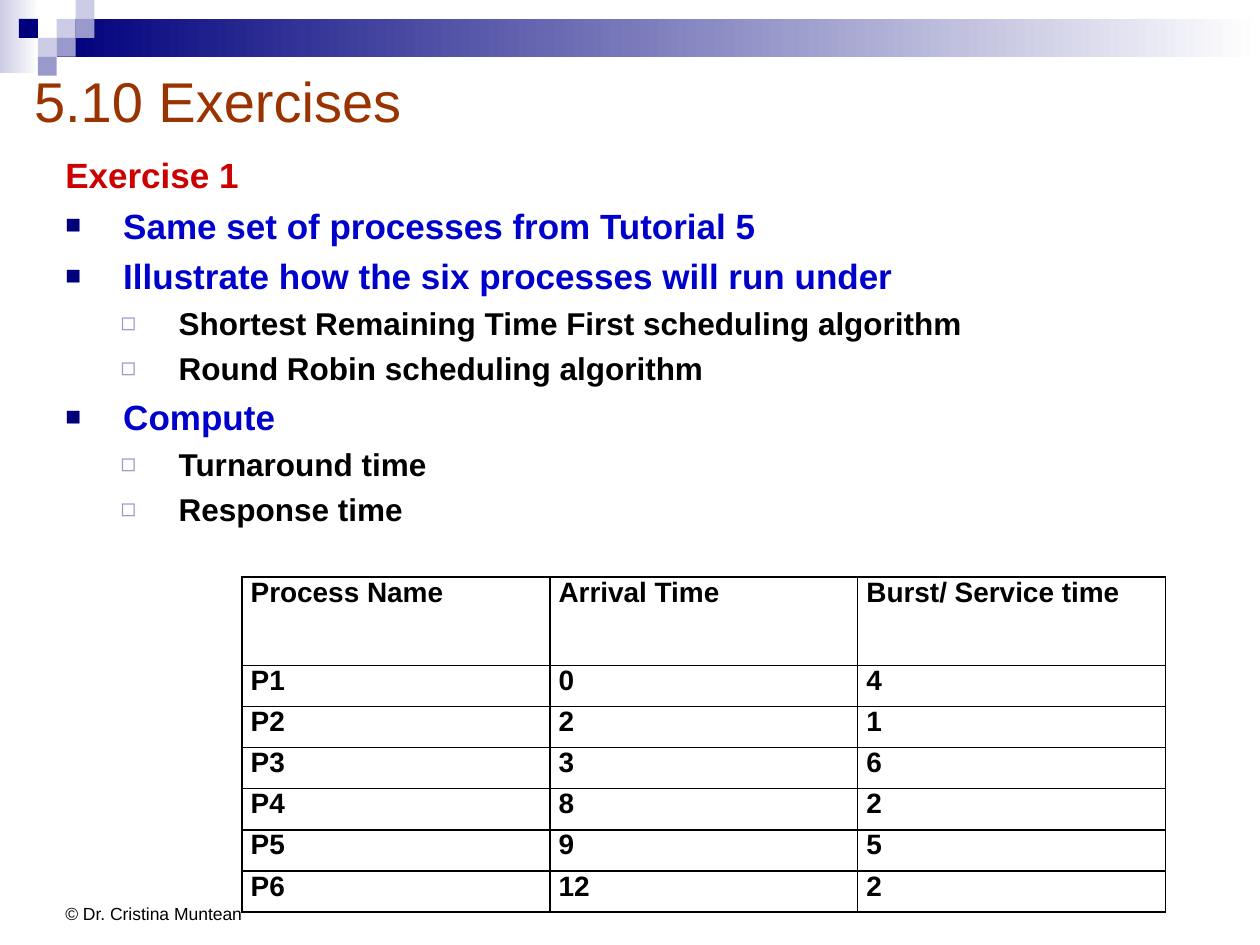
from lxml.etree import SubElement
from pptx import Presentation
from pptx.dml.color import RGBColor
from pptx.enum.shapes import MSO_SHAPE as Preset
from pptx.enum.text import MSO_ANCHOR as Anchor, PP_ALIGN as Align
from pptx.oxml.ns import qn
from pptx.util import Inches, Pt

FONT = "Arial"
COLORS = {"navy": "00007D", "lilac": "9999CC", "pale": "CCCCE6", "white": "FFFFFF",
          "title": "993300", "red": "CC0000", "blue": "0000CC", "black": "000000"}

TITLE = "5.10 Exercises"
FOOTER = "© Dr. Cristina Muntean"
OUTLINE = [
    ("heading", "Exercise 1"),
    ("point", "Same set of processes from Tutorial 5"),
    ("point", "Illustrate how the six processes will run under"),
    ("detail", "Shortest Remaining Time First scheduling algorithm"),
    ("detail", "Round Robin scheduling algorithm"),
    ("point", "Compute"),
    ("detail", "Turnaround time"),
    ("detail", "Response time"),
]
# style: level, size, text colour, left margin, (bullet, colour, percent)
STYLES = {
    "heading": (0, 20, "red", 0.46, None),
    "point": (0, 20, "blue", 0.46, ("■", "navy", 75)),
    "detail": (1, 18, "black", 0.9, ("◻", "lilac", 80)),
}
HANGING = 0.46
PROCESSES = [
    ("Process Name", "Arrival Time", "Burst/ Service time"),
    ("P1", "0", "4"),
    ("P2", "2", "1"),
    ("P3", "3", "6"),
    ("P4", "8", "2"),
    ("P5", "9", "5"),
    ("P6", "12", "2"),
]
TABLE_BOX = (1.92, 4.58, 7.33, 2.66)
HEADER_HEIGHT = 0.7

SQUARE = 0.15
# corner squares: grid column, grid row, colour
SQUARES = [(3, 1, "pale"), (4, 0, "pale"), (4, 1, "lilac"), (2, 2, "pale"),
           (1, 1, "navy"), (3, 2, "lilac"), (2, 3, "lilac")]
# fading bands: box, starting colour
BANDS = [((0, 0, 0.31, 0.58), "pale"), ((0.45, 0.15, 9.55, 0.3), "navy")]


def rgb(name):
    """Return the named colour."""
    return RGBColor.from_string(COLORS[name])


def inches(box):
    """Turn a box of numbers into lengths."""
    return [Inches(value) for value in box]


def format_runs(paragraph, size, color, bold=False):
    """Set the font of every run in a paragraph."""
    for run in paragraph.runs:
        run.font.name, run.font.size, run.font.bold = FONT, Pt(size), bold
        run.font.color.rgb = rgb(color)


def add_rectangle(slide, box, color, fade=False):
    """Add a borderless rectangle, plain or fading to white."""
    shape = slide.shapes.add_shape(Preset.RECTANGLE, *inches(box))
    shape.shadow.inherit = False
    shape.line.fill.background()
    if fade:
        shape.fill.gradient()
        shape.fill.gradient_angle = 0
        for stop, name in zip(shape.fill.gradient_stops, (color, "white")):
            stop.color.rgb = rgb(name)
    else:
        shape.fill.solid()
        shape.fill.fore_color.rgb = rgb(color)


def add_text_box(slide, box):
    """Add a wrapping text box and return its text frame."""
    text_frame = slide.shapes.add_textbox(*inches(box)).text_frame
    text_frame.word_wrap = True
    return text_frame


def add_title(slide):
    """Place and format the title placeholder."""
    title = slide.shapes.title
    title.left, title.top, title.width, title.height = inches((0.17, 0.17, 9.83, 1.25))
    title.text_frame.text = TITLE
    title.text_frame.vertical_anchor = Anchor.MIDDLE
    paragraph = title.text_frame.paragraphs[0]
    paragraph.alignment = Align.LEFT
    format_runs(paragraph, 32, "title")


def add_outline(slide):
    """Write the exercise text with its bullets."""
    text_frame = add_text_box(slide, (0.42, 1.17, 9.17, 3.3))
    text_frame.text = "\n".join(text for _, text in OUTLINE)
    for paragraph, (style, _) in zip(text_frame.paragraphs, OUTLINE):
        level, size, color, margin, bullet = STYLES[style]
        paragraph.level = level
        paragraph.space_before = Pt(round(size * 0.24, 1))
        format_runs(paragraph, size, color, bold=True)
        properties = paragraph._p.get_or_add_pPr()
        properties.set("marL", str(Inches(margin)))
        properties.set("indent", str(-Inches(HANGING)))
        if bullet:
            character, bullet_color, percent = bullet
            holder = SubElement(properties, qn("a:buClr"))
            SubElement(holder, qn("a:srgbClr"), val=COLORS[bullet_color])
            SubElement(properties, qn("a:buSzPct"), val=str(percent * 1000))
            SubElement(properties, qn("a:buFont"), typeface=FONT)
            SubElement(properties, qn("a:buChar"), char=character)


def add_borders(cell):
    """Draw a thin black line on all four sides of a cell."""
    properties = cell._tc.get_or_add_tcPr()
    for index, side in enumerate(("a:lnL", "a:lnR", "a:lnT", "a:lnB")):
        line = properties.makeelement(qn(side), {"w": str(Pt(1))})
        properties.insert(index, line)
        fill = SubElement(line, qn("a:solidFill"))
        SubElement(fill, qn("a:srgbClr"), val=COLORS["black"])


def add_process_table(slide):
    """Add the table of processes."""
    row_count, column_count = len(PROCESSES), len(PROCESSES[0])
    table = slide.shapes.add_table(row_count, column_count, *inches(TABLE_BOX)).table
    row_height = (TABLE_BOX[3] - HEADER_HEIGHT) / (row_count - 1)
    for index, row in enumerate(table.rows):
        row.height = Inches(row_height if index else HEADER_HEIGHT)
        for cell, text in zip(row.cells, PROCESSES[index]):
            cell.margin_left = cell.margin_right = Inches(0.07)
            cell.margin_top = cell.margin_bottom = 0
            cell.fill.background()
            add_borders(cell)
            cell.text_frame.text = text
            paragraph = cell.text_frame.paragraphs[0]
            paragraph.alignment = Align.JUSTIFY
            format_runs(paragraph, 16, "black", bold=True)


def add_footer(slide):
    """Write the line at the foot of the slide."""
    text_frame = add_text_box(slide, (0.42, 7.05, 1.68, 0.4))
    text_frame.vertical_anchor = Anchor.MIDDLE
    text_frame.text = FOOTER
    format_runs(text_frame.paragraphs[0], 10, "black")


def main():
    """Build the slide and save it."""
    presentation = Presentation()
    presentation.slide_width, presentation.slide_height = inches((10, 7.5))
    slide = presentation.slides.add_slide(presentation.slide_layouts[5])
    for box, color in BANDS:
        add_rectangle(slide, box, color, fade=True)
    for column, row, color in SQUARES:
        add_rectangle(slide, (column * SQUARE, row * SQUARE, SQUARE, SQUARE), color)
    add_footer(slide)
    add_outline(slide)
    add_title(slide)
    add_process_table(slide)
    presentation.save("out.pptx")


main()
